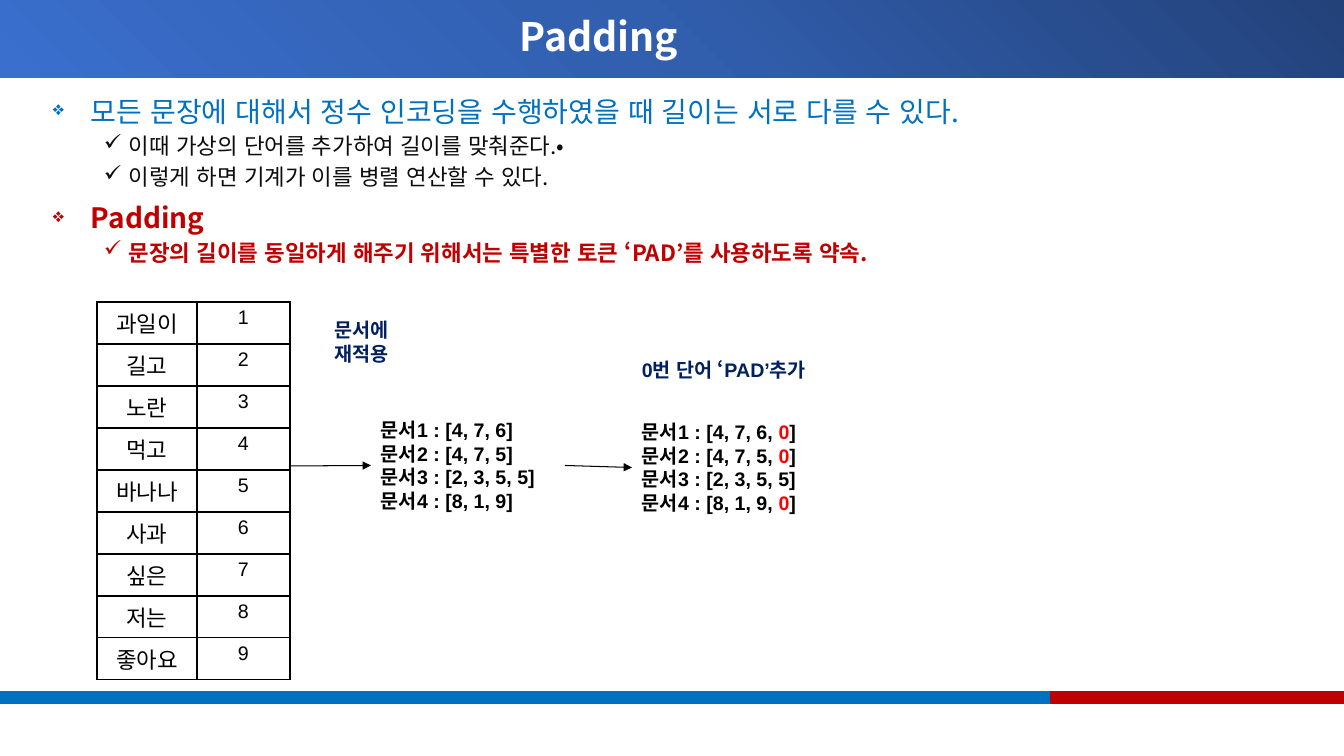
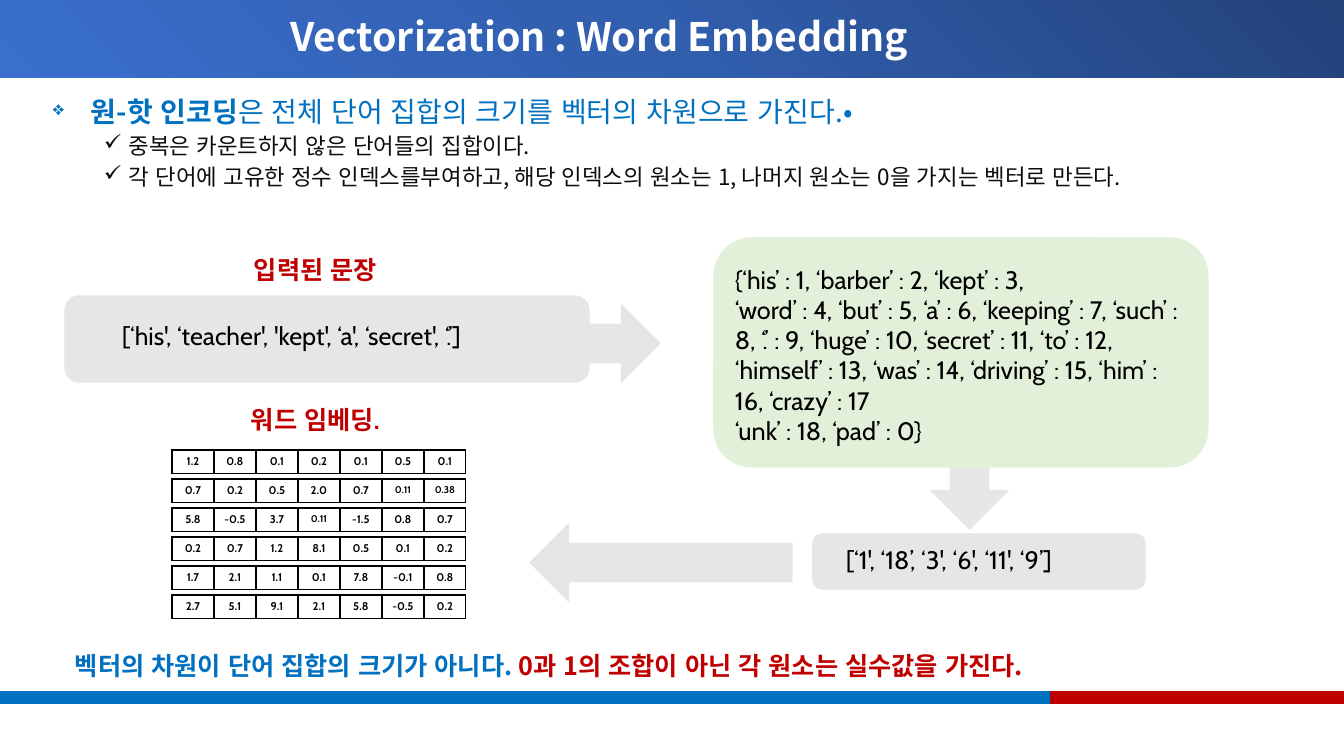
from lxml import etree
from pptx import Presentation
from pptx.dml.color import RGBColor
from pptx.enum.shapes import MSO_CONNECTOR, MSO_SHAPE
from pptx.enum.text import MSO_ANCHOR, PP_ALIGN
from pptx.oxml import parse_xml
from pptx.oxml.ns import nsdecls, qn
from pptx.util import Emu, Pt

RECT = MSO_SHAPE.RECTANGLE
ROUND = MSO_SHAPE.ROUNDED_RECTANGLE
ARROW = MSO_SHAPE.RIGHT_ARROW
STRAIGHT = MSO_CONNECTOR.STRAIGHT
MIDDLE = MSO_ANCHOR.MIDDLE
LEFT, CENTER = PP_ALIGN.LEFT, PP_ALIGN.CENTER

BLACK = RGBColor(0x00, 0x00, 0x00)
INK = RGBColor(0x0D, 0x0D, 0x0D)
WHITE = RGBColor(0xFF, 0xFF, 0xFF)
BLUE = RGBColor(0x00, 0x70, 0xC0)
NAVY = RGBColor(0x00, 0x20, 0x60)
RED = RGBColor(0xC0, 0x00, 0x00)
BRIGHT_RED = RGBColor(0xFF, 0x00, 0x00)
GRAY = RGBColor(0xE7, 0xE6, 0xE6)
GREEN = RGBColor(0xE2, 0xF0, 0xD9)
BAND_STOPS = (
    (0, RGBColor(0x23, 0x42, 0x7A)),
    (50, RGBColor(0x31, 0x5E, 0xAD)),
    (100, RGBColor(0x3A, 0x6F, 0xCE)),
)

KOREAN, ARIAL, CABIN = "Noto Sans CJK KR", "Arial", "Cabin"
WIDTH, HEIGHT = 1344, 756
BULLETS = (
    {"char": "❖", "indent": 38, "hang": 38, "before": 10, "size": 20, "scale": 70},
    {"char": "✓", "indent": 76, "hang": 25, "before": 5, "size": 16, "scale": 100},
)


def px(n):
    return Emu(round(n * 914400 / 100.8))


class Deck:
    def __init__(self):
        self.prs = Presentation()
        self.prs.slide_width, self.prs.slide_height = px(WIDTH), px(HEIGHT)
        self.s = None

    def slide(self, title):
        self.s = self.prs.slides.add_slide(self.prs.slide_layouts[6])
        self.band()
        self.shape(RECT, 0, 692, 1051, 11, BLUE)
        self.shape(RECT, 1051, 692, 293, 11, RED)
        sp = self.text(43, 0, 1112, 78, [title], KOREAN, 28, WHITE, True, CENTER)
        sp.text_frame.vertical_anchor = MIDDLE
        sp.text_frame.paragraphs[0].line_spacing = 0.9

    def band(self):
        sp = self.shape(RECT, 0, 0, WIDTH, 78, BLUE)
        sp.line.fill.background()
        stops = "".join(
            f'<a:gs pos="{pos * 1000}"><a:srgbClr val="{color}"/></a:gs>'
            for pos, color in BAND_STOPS
        )
        gradient = parse_xml(
            f'<a:gradFill {nsdecls("a")} rotWithShape="1"><a:gsLst>{stops}</a:gsLst>'
            '<a:path path="circle"><a:fillToRect l="100000" b="100000"/></a:path>'
            "</a:gradFill>"
        )
        spPr = sp._element.spPr
        spPr.replace(spPr.find(qn("a:solidFill")), gradient)

    def shape(self, kind, x, y, w, h, color, rotation=0):
        sp = self.s.shapes.add_shape(kind, px(x), px(y), px(w), px(h))
        sp.shadow.inherit = False
        sp.fill.solid()
        sp.fill.fore_color.rgb = color
        sp.line.color.rgb = color
        sp.line.width = Pt(1)
        sp.rotation = rotation
        return sp

    def runs(self, p, content, font, size, color, bold):
        if isinstance(content, str):
            content = [(content, color, bold)]
        for text, run_color, run_bold in content:
            r = p.add_run()
            r.text = text
            r.font.size = Pt(size)
            r.font.bold = run_bold
            r.font.color.rgb = run_color
            r.font.name = font
            rPr = r._r.get_or_add_rPr()
            rPr.set("lang", "ko-KR")
            etree.SubElement(rPr, qn("a:ea"), typeface=KOREAN)

    def text(self, x, y, w, h, lines, font, size, color, bold=False, align=LEFT):
        sp = self.s.shapes.add_textbox(px(x), px(y), px(w), px(h))
        tf = sp.text_frame
        tf.word_wrap = True
        for i, line in enumerate(lines):
            p = tf.add_paragraph() if i else tf.paragraphs[0]
            p.alignment = align
            self.runs(p, line, font, size, color, bold)
        return sp

    def bullets(self, items):
        sp = self.s.shapes.add_textbox(px(43), px(93), px(1273), px(585))
        tf = sp.text_frame
        tf.word_wrap = True
        for i, (level, content, color, bold) in enumerate(items):
            style = BULLETS[level]
            p = tf.add_paragraph() if i else tf.paragraphs[0]
            p.level = level
            p.line_spacing = 0.9
            if i:
                p.space_before = Pt(style["before"])
            pPr = p._p.get_or_add_pPr()
            pPr.set("marL", str(px(style["indent"])))
            pPr.set("indent", str(-px(style["hang"])))
            etree.SubElement(pPr, qn("a:buSzPct"), val=str(style["scale"] * 1000))
            etree.SubElement(pPr, qn("a:buChar"), char=style["char"])
            self.runs(p, content, KOREAN, style["size"], color, bold)

    def table(self, x, y, widths, row_height, rows, font, size_of, bold=False):
        frame = self.s.shapes.add_table(
            len(rows), len(widths), px(x), px(y), px(sum(widths)), px(row_height * len(rows))
        )
        table = frame.table
        table.first_row = table.horz_banding = False
        for column, width in zip(table.columns, widths):
            column.width = px(width)
        for i, row in enumerate(rows):
            table.rows[i].height = px(row_height)
            for j, value in enumerate(row):
                cell = table.cell(i, j)
                self.borders(cell)
                cell.fill.solid()
                cell.fill.fore_color.rgb = WHITE
                p = cell.text_frame.paragraphs[0]
                p.alignment = CENTER
                self.runs(p, value, font, size_of(j, value), BLACK, bold)

    def borders(self, cell):
        tcPr = cell._tc.get_or_add_tcPr()
        for side in "LRTB":
            ln = etree.SubElement(tcPr, qn(f"a:ln{side}"), w=str(Pt(1)))
            fill = etree.SubElement(ln, qn("a:solidFill"))
            etree.SubElement(fill, qn("a:srgbClr"), val=str(BLACK))

    def arrow(self, start, end, source=None, target=None):
        line = self.s.shapes.add_connector(STRAIGHT, *(px(n) for n in start + end))
        if source is not None:
            line.begin_connect(source, 3)
        if target is not None:
            line.end_connect(target, 1)
        line.line.color.rgb = BLACK
        line.line.width = Pt(0.75)
        etree.SubElement(line.line._get_or_add_ln(), qn("a:tailEnd"), type="triangle")
        etree.SubElement(line._element.spPr, qn("a:effectLst"))


def padding_slide(deck):
    deck.slide("Padding")
    deck.bullets([
        (0, "모든 문장에 대해서 정수 인코딩을 수행하였을 때 길이는 서로 다를 수 있다.", BLUE, False),
        (1, "이때 가상의 단어를 추가하여 길이를 맞춰준다.•", INK, False),
        (1, "이렇게 하면 기계가 이를 병렬 연산할 수 있다.", INK, False),
        (0, "Padding", RED, True),
        (1, "문장의 길이를 동일하게 해주기 위해서는 특별한 토큰 ‘PAD’를 사용하도록 약속.", RED, True),
    ])
    words = ["과일이", "길고", "노란", "먹고", "바나나", "사과", "싶은", "저는", "좋아요"]
    rows = [(word, str(n)) for n, word in enumerate(words, 1)]
    deck.table(97, 302, [100, 93], 42, rows, ARIAL, lambda column, value: (16, 14)[column])

    documents = ["4, 7, 6", "4, 7, 5", "2, 3, 5, 5", "8, 1, 9"]
    encoded, padded = [], []
    for n, codes in enumerate(documents, 1):
        line = f"문서{n} : [{codes}"
        encoded.append(line + "]")
        if codes.count(",") == 2:
            padded.append([(line + ", ", BLACK, True), ("0", BRIGHT_RED, True), ("]", BLACK, True)])
        else:
            padded.append(line + "]")

    deck.text(325, 313, 85, 58, ["문서에", "재적용"], ARIAL, 14, NAVY, True)
    encoded_box = deck.text(371, 413, 194, 105, encoded, ARIAL, 14, BLACK, True)
    deck.text(632, 353, 209, 34, ["0번 단어 ‘PAD’추가"], ARIAL, 14, NAVY, True)
    padded_box = deck.text(632, 415, 194, 105, padded, ARIAL, 14, BLACK, True)
    deck.arrow((290, 466), (371, 466), target=encoded_box)
    deck.arrow((565, 466), (632, 467), encoded_box, padded_box)


def embedding_slide(deck):
    deck.slide("Vectorization : Word Embedding")
    deck.bullets([
        (0, [("원-핫 인코딩", BLUE, True),
             ("은 전체 단어 집합의 크기를 벡터의 차원으로 가진다.•", BLUE, False)], BLUE, False),
        (1, "중복은 카운트하지 않은 단어들의 집합이다.", INK, False),
        (1, "각 단어에 고유한 정수 인덱스를부여하고, 해당 인덱스의 원소는 1, "
            "나머지 원소는 0을 가지는 벡터로 만든다.", INK, False),
    ])
    deck.shape(ARROW, 517, 305, 143, 77, GRAY)
    deck.shape(ROUND, 65, 296, 524, 86, GRAY)
    deck.text(112, 315, 490, 40, ["[‘his', ‘teacher', 'kept', ‘a', ‘secret', ‘.’]"], CABIN, 18, BLACK)
    deck.text(244, 249, 166, 40, ["입력된 문장"], CABIN, 18, RED, True)
    deck.shape(ROUND, 813, 534, 332, 55, GRAY)
    deck.text(836, 539, 309, 40, ["[‘1', ‘18’, ‘3', ‘6', ‘11', ‘9’]"], CABIN, 18, BLACK)
    deck.shape(ARROW, 898, 419, 143, 77, GRAY, 90)
    deck.shape(ROUND, 714, 238, 494, 229, GREEN)
    deck.text(725, 259, 469, 194, [
        "{‘his’ : 1, ‘barber’ : 2, ‘kept’ : 3,",
        "‘word’ : 4, ‘but’ : 5, ‘a’ : 6, ‘keeping’ : 7, ‘such’ : 8, ‘.’ : 9, "
        "‘huge’ : 10, ‘secret’ : 11, ‘to’ : 12, ‘himself’ : 13, ‘was’ : 14, "
        "‘driving’ : 15, ‘him’ : 16, ‘crazy’ : 17",
        "‘unk’ : 18, ‘pad’ : 0}",
    ], CABIN, 18, BLACK)
    deck.shape(ARROW, 530, 524, 262, 77, GRAY, 180)
    deck.text(241, 399, 166, 40, ["워드 임베딩."], CABIN, 18, RED, True)
    deck.text(65, 645, 1095, 40, [[
        ("벡터의 차원이 단어 집합의 크기가 아니다. ", BLUE, True),
        ("0과 1의 조합이 아닌 각 원소는 실수값을 가진다.", RED, True),
    ]], KOREAN, 18, BLUE)

    vectors = [
        "1.2 0.8 0.1 0.2 0.1 0.5 0.1",
        "0.7 0.2 0.5 2.0 0.7 0.11 0.38",
        "5.8 -0.5 3.7 0.11 -1.5 0.8 0.7",
        "0.2 0.7 1.2 8.1 0.5 0.1 0.2",
        "1.7 2.1 1.1 0.1 7.8 -0.1 0.8",
        "2.7 5.1 9.1 2.1 5.8 -0.5 0.2",
    ]
    for i, vector in enumerate(vectors):
        deck.table(172, 450 + 29 * i, [42] * 7, 23, [vector.split()], CABIN,
                   lambda column, value: 7 if value[-3] == "." else 8, True)


def main():
    deck = Deck()
    padding_slide(deck)
    embedding_slide(deck)
    deck.prs.save("out.pptx")


if __name__ == "__main__":
    main()
